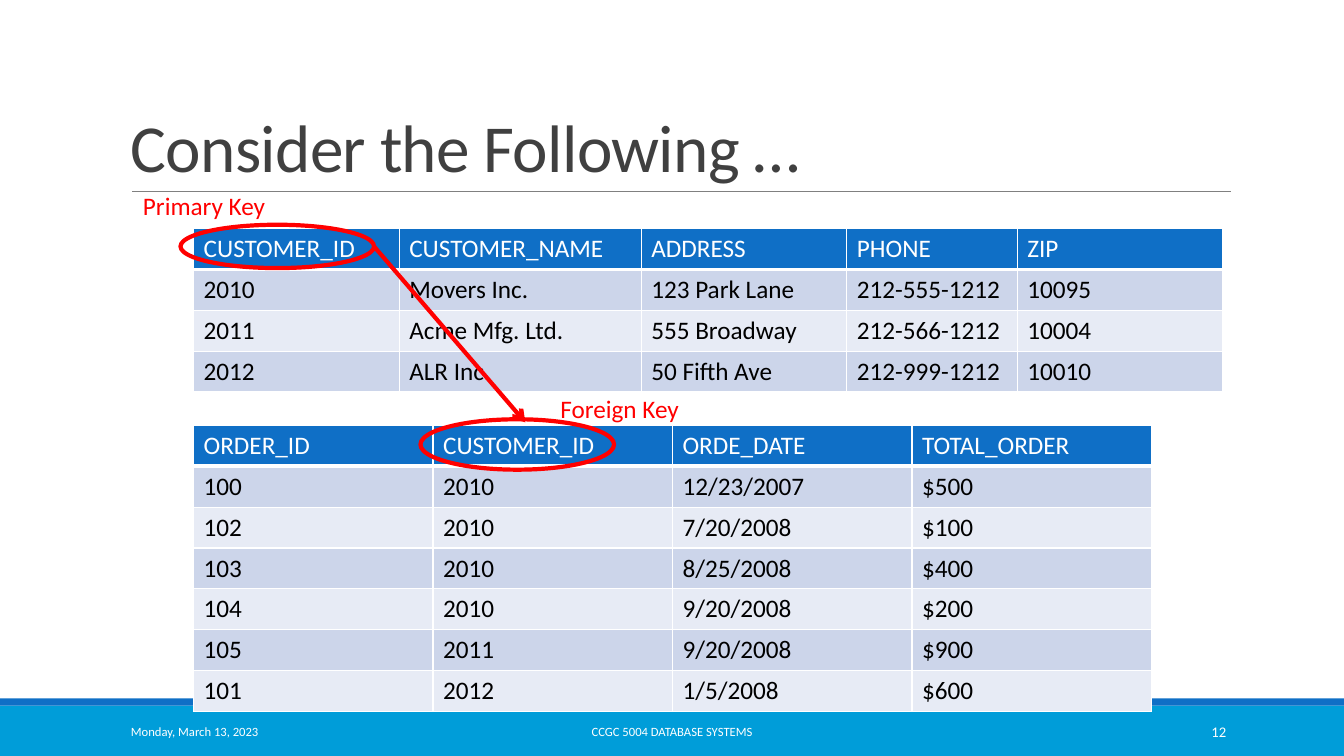
from lxml.etree import SubElement
from pptx import Presentation
from pptx.dml.color import RGBColor
from pptx.enum.shapes import MSO_CONNECTOR as Link, MSO_SHAPE as Preset
from pptx.enum.text import MSO_ANCHOR as Anchor, PP_ALIGN as Align
from pptx.oxml.ns import qn
from pptx.util import Inches, Pt

FONT = "Calibri"
WHITE, BLACK, RED = "FFFFFF", "000000", "FF0000"
BLUE, CYAN = "0F6FC6", "009DD9"
BANDS = ("CCD5EA", "E7EBF5")

CUSTOMERS = [
    ("CUSTOMER_ID", "CUSTOMER_NAME", "ADDRESS", "PHONE", "ZIP"),
    ("2010", "Movers Inc.", "123 Park Lane", "212-555-1212", "10095"),
    ("2011", "Acme Mfg. Ltd.", "555 Broadway", "212-566-1212", "10004"),
    ("2012", "ALR Inc.", "50 Fifth Ave", "212-999-1212", "10010"),
]
ORDERS = [
    ("ORDER_ID", "CUSTOMER_ID", "ORDE_DATE", "TOTAL_ORDER"),
    ("100", "2010", "12/23/2007", "$500"),
    ("102", "2010", "7/20/2008", "$100"),
    ("103", "2010", "8/25/2008", "$400"),
    ("104", "2010", "9/20/2008", "$200"),
    ("105", "2011", "9/20/2008", "$900"),
    ("101", "2012", "1/5/2008", "$600"),
]


def rgb(color):
    """Turn a hex string into a colour."""
    return RGBColor.from_string(color)


def inches(*lengths):
    """Turn several numbers into lengths."""
    return [Inches(length) for length in lengths]


def write(frame, text, size=18, color=BLACK, align=Align.LEFT,
          anchor=Anchor.TOP, leading=None, tracking=None):
    """Put one formatted line of text into a text frame."""
    frame.word_wrap = True
    frame.vertical_anchor = anchor
    paragraph = frame.paragraphs[0]
    paragraph.alignment = align
    if leading:
        paragraph.line_spacing = leading
    run = paragraph.add_run()
    run.text = text
    run.font.name, run.font.size = FONT, Pt(size)
    run.font.color.rgb = rgb(color)
    if tracking:
        run.font._element.set("spc", str(int(tracking * 100)))


def add_text(slide, box, text, **style):
    """Add a text box."""
    write(slide.shapes.add_textbox(*inches(*box)).text_frame, text, **style)


def add_preset(slide, preset, box, fill=None, line=None):
    """Add a flat shape with either a fill or an outline."""
    shape = slide.shapes.add_shape(preset, *inches(*box))
    shape.shadow.inherit = False
    if fill:
        shape.fill.solid()
        shape.fill.fore_color.rgb = rgb(fill)
    else:
        shape.fill.background()
    if line:
        shape.line.color.rgb, shape.line.width = rgb(line), Pt(3)
    else:
        shape.line.fill.background()


def add_line(slide, start, end, color, width, arrow=False):
    """Add a straight line, with an arrowhead at its end if asked."""
    line = slide.shapes.add_connector(Link.STRAIGHT, *inches(*start, *end))
    line.line.color.rgb, line.line.width = rgb(color), Pt(width)
    if arrow:
        SubElement(line.line._get_or_add_ln(), qn("a:tailEnd"), type="arrow")
    SubElement(line._element.spPr, qn("a:effectLst"))


def add_borders(cell, bottom):
    """Give a cell white edges, with its own bottom width."""
    properties = cell._tc.get_or_add_tcPr()
    for edge, width in (("L", 1), ("R", 1), ("T", 1), ("B", bottom)):
        border = SubElement(properties, qn(f"a:ln{edge}"), w=str(Pt(width)))
        fill = SubElement(border, qn("a:solidFill"))
        SubElement(fill, qn("a:srgbClr"), val=WHITE)


def add_records(slide, box, records, widths):
    """Draw a banded table with a blue header row."""
    table = slide.shapes.add_table(len(records), len(widths), *inches(*box)).table
    for column, width in zip(table.columns, widths):
        column.width = Inches(width)
    for index, record in enumerate(records):
        table.rows[index].height = Inches(box[3] / len(records))
        header = index == 0
        for column, value in enumerate(record):
            cell = table.cell(index, column)
            add_borders(cell, bottom=3 if header else 1)
            cell.fill.solid()
            cell.fill.fore_color.rgb = rgb(BLUE if header else BANDS[(index - 1) % 2])
            write(cell.text_frame, value, color=WHITE if header else BLACK)


def add_footer(slide, box):
    """Draw the bottom band with date, course and slide number."""
    left, top, width, height = box
    stripe = 0.07
    add_preset(slide, Preset.RECTANGLE, (left, top + stripe, width, height - stripe), CYAN)
    add_preset(slide, Preset.RECTANGLE, (left, top, width, stripe), BLUE)
    for offset, span, text, size, align in (
        (1.2, 2.7, "Monday, March 13, 2023", 9, Align.LEFT),
        (4.03, 5.27, "CCGC 5004 DATABASE SYSTEMS", 9, Align.CENTER),
        (10.83, 1.43, "12", 10.5, Align.RIGHT),
    ):
        add_text(slide, (left + offset, top + 0.13, span, 0.4), text, size=size,
                 color=WHITE, align=align, anchor=Anchor.MIDDLE)


def add_title(slide, box):
    """Draw the title above its rule."""
    left, top, width, height = box
    bottom = top + height
    add_line(slide, (left + 0.11, bottom), (left + width + 0.01, bottom), "808080", 0.5)
    add_text(slide, box, "Consider the Following …", size=48, color="404040",
             anchor=Anchor.BOTTOM, leading=0.85, tracking=-0.5)


def add_key(slide, ring, label, label_at):
    """Circle a key column and name it in red."""
    add_text(slide, (*label_at, 2, 0.4), label, color=RED)
    add_preset(slide, Preset.OVAL, ring, line=RED)


def add_relation(slide, customers, orders):
    """Mark both keys and link the primary key to the foreign key."""
    left, top = customers[:2]
    primary = (left - 0.13, top - 0.04, 1.92, 0.43)
    add_key(slide, primary, "Primary Key", (left - 0.6, top - 0.43))
    left, top = orders[:2]
    foreign = (left + 2.25, top - 0.06, 1.92, 0.5)
    add_key(slide, foreign, "Foreign Key", (left + 3.54, top - 0.37))
    start = (primary[0] + primary[2], primary[1] + primary[3] / 2)
    end = (foreign[0] + 1.04, foreign[1] + 0.03)
    add_line(slide, start, end, RED, 3, arrow=True)


def main():
    """Build and save the slide."""
    deck = Presentation()
    deck.slide_width, deck.slide_height = inches(13.33, 7.5)
    slide = deck.slides.add_slide(deck.slide_layouts[6])
    customers = (1.92, 2.27, 10.22, 1.62)
    orders = (1.92, 4.22, 9.5, 2.84)
    add_footer(slide, (0, 6.93, 13.33, 0.57))
    add_title(slide, (1.2, 0.31, 11, 1.59))
    add_records(slide, customers, CUSTOMERS, (2.04, 2.4, 2.04, 1.69, 2.04))
    add_records(slide, orders, ORDERS, [orders[2] / 4] * 4)
    add_relation(slide, customers, orders)
    deck.save("out.pptx")


if __name__ == "__main__":
    main()
